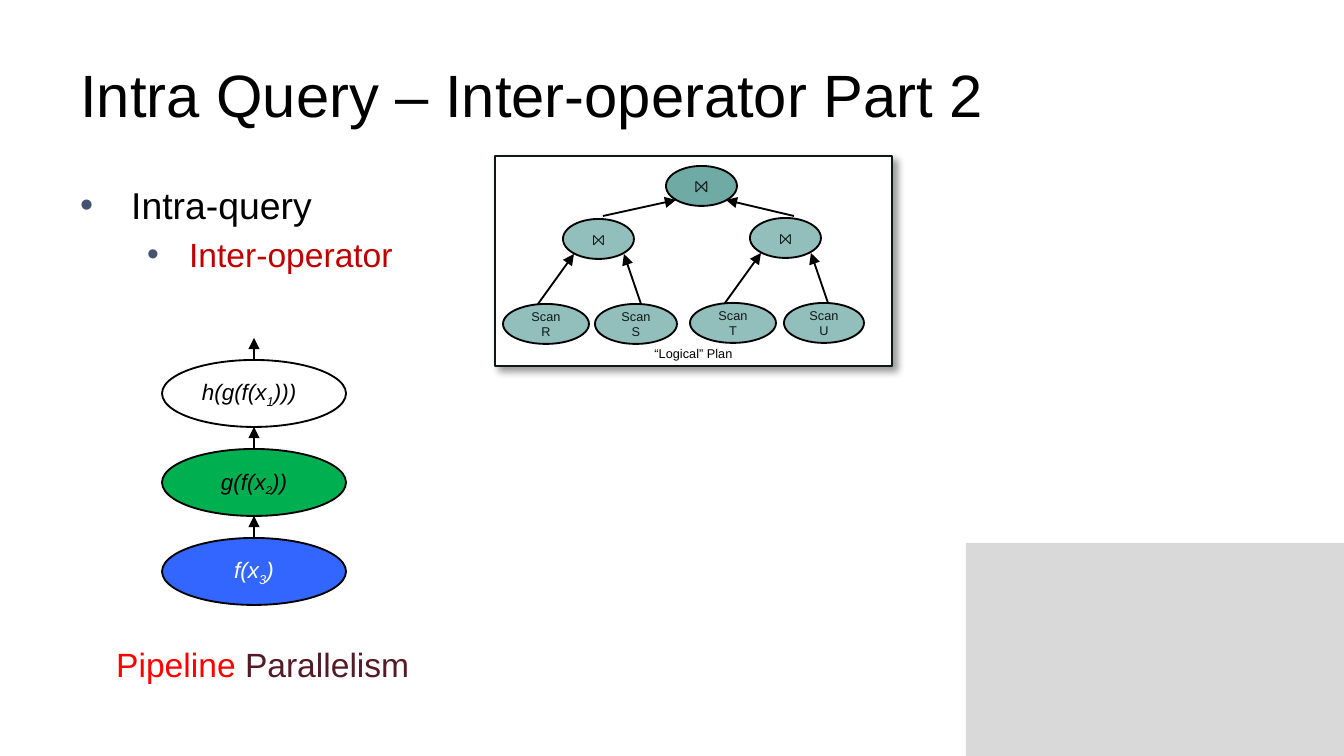
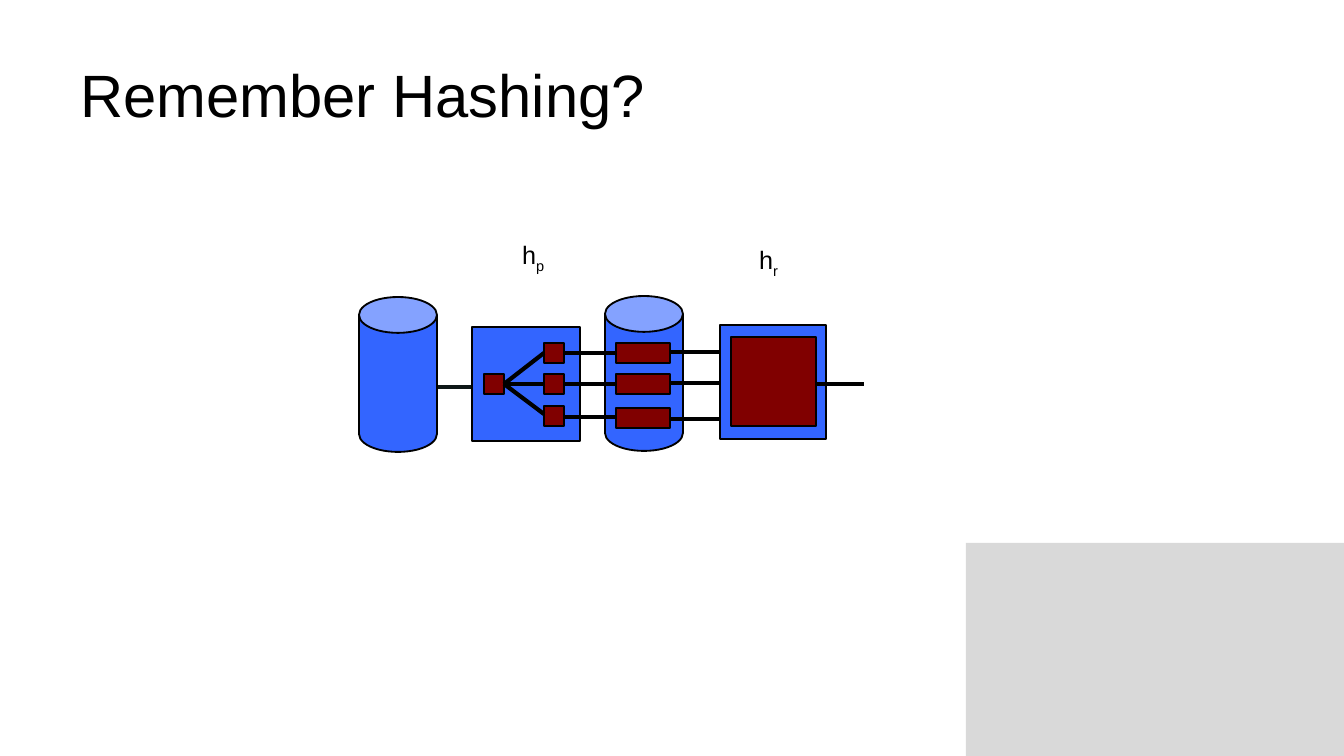
import pptx
import pptx.dml.color
import pptx.enum.shapes
import pptx.enum.text
import pptx.oxml.ns
import pptx.util
from lxml import etree

SHAPE = pptx.enum.shapes.MSO_SHAPE
ALIGN = pptx.enum.text.PP_ALIGN
ANCHOR = pptx.enum.text.MSO_ANCHOR
FONT = "Arial"
BLACK, WHITE, INK = "000000", "FFFFFF", "0E1817"
GREY, BLUE, MAROON = "D9D9D9", "3365FF", "800000"
TEAL, DARK_TEAL = "92BFBB", "6FAAA5"

TITLES = ["Intra Query – Inter-operator Part 2", "Remember Hashing?"]
TITLE_AREA = (67, 31, 1210, 126)
CORNER_AREA = (966, 543, 378, 213)

BULLETS = [
    ("Intra-query", 20, BLACK, 51, 51),
    ("Inter-operator", 18, "C00000", 109, 42),
]
PIPELINE_LABEL = [("Pipeline", {"color": "FF0000"}), (" Parallelism", {"color": "541B27"})]
PIPELINE = [
    (WHITE, BLACK, ALIGN.LEFT, "h(g(f(x", "1", ")))", 12),
    ("00B050", BLACK, ALIGN.CENTER, "g(f(x", "2", "))", 10.5),
    ("3366FF", WHITE, ALIGN.CENTER, "f(x", "3", ")", 12),
]
JOIN = "⨝"
JOIN_SIZE = (71, 40)
SUBTREES = [
    (563, 219, [("Scan R", -60, 86), ("Scan S", 32, 82)]),
    (750, 218, [("Scan T", -60, 86), ("Scan U", 34, 80)]),
]
SCAN_ARROWS = [(-25, 85, 11, 35), (78, 85, 61, 35)]
ROOT_ARROWS = [(603, 216, 676, 200), (794, 216, 726, 200)]

HASH_LABELS = [("p", (509, 233, 51, 44)), ("r", (746, 238, 47, 44))]
CYLINDERS = [(359, 297), (605, 296)]
PARTITION_ROWS = [
    {"square": 343, "bucket": 343, "fan": 353, "write": 353, "read": 352},
    {"square": 374, "bucket": 374, "fan": 384, "write": 384, "read": 383},
    {"square": 406, "bucket": 408, "fan": 414, "write": 417, "read": 419},
]


def px(length):
    return pptx.util.Emu(round(length * 914400 / 134.4))


def rgb(color):
    return pptx.dml.color.RGBColor.from_string(color)


def add_xml(parent, tag, **attributes):
    element = etree.SubElement(parent, pptx.oxml.ns.qn(tag))
    for name, value in attributes.items():
        element.set(name, str(value))
    return element


def set_font(font, size=None, color=None, italic=None):
    font.name = FONT
    if size:
        font.size = pptx.util.Pt(size)
    if color:
        font.color.rgb = rgb(color)
    if italic:
        font.italic = True


def write(para, spans, align=ALIGN.LEFT, **style):
    para.alignment = align
    set_font(para.font, **style)
    for text, options in spans:
        span = para.add_run()
        span.text = text
        if "color" in options:
            span.font.color.rgb = rgb(options["color"])
        if "size" in options:
            span.font.size = pptx.util.Pt(options["size"])
        if options.get("subscript"):
            span.font._element.set("baseline", "-25000")


def add_box(page, kind, area, fill, line=BLACK):
    box = page.shapes.add_shape(kind, *map(px, area))
    box.shadow.inherit = False
    box.fill.solid()
    box.fill.fore_color.rgb = rgb(fill)
    if line:
        box.line.color.rgb = rgb(line)
        box.line.width = pptx.util.Pt(1)
    else:
        box.line.fill.background()
    return box


def add_ellipse(page, area, fill, spans, align=ALIGN.CENTER, inset=12, **style):
    box = add_box(page, SHAPE.OVAL, area, fill)
    frame = box.text_frame
    frame.word_wrap = True
    frame.vertical_anchor = ANCHOR.MIDDLE
    frame.margin_left = frame.margin_right = px(inset)
    write(frame.paragraphs[0], spans, align, **style)


def add_label(page, area, spans, **style):
    frame = page.shapes.add_textbox(*map(px, area)).text_frame
    frame.word_wrap = False
    frame.auto_size = pptx.enum.text.MSO_AUTO_SIZE.SHAPE_TO_FIT_TEXT
    write(frame.paragraphs[0], spans, **style)


def add_line(page, ends, width=2.25, color=BLACK, arrow=False):
    line = page.shapes.add_connector(pptx.enum.shapes.MSO_CONNECTOR.STRAIGHT, *map(px, ends))
    line.line.color.rgb = rgb(color)
    line.line.width = pptx.util.Pt(width)
    if arrow:
        add_xml(line.line._get_or_add_ln(), "a:tailEnd", type="triangle")
    add_xml(line._element.spPr, "a:effectLst")


def add_page(deck, title):
    page = deck.slides.add_slide(deck.slide_layouts[5])
    add_box(page, SHAPE.RECTANGLE, CORNER_AREA, GREY, None)
    box = page.shapes.title
    box.left, box.top, box.width, box.height = map(px, TITLE_AREA)
    box.text_frame.vertical_anchor = ANCHOR.MIDDLE
    write(box.text_frame.paragraphs[0], [(title, {})], size=32, color=BLACK)
    return page


def add_bullets(page):
    frame = page.shapes.add_textbox(*map(px, (67, 176, 1210, 499))).text_frame
    frame.word_wrap = True
    for level, (text, size, color, margin, hang) in enumerate(BULLETS):
        para = frame.add_paragraph() if level else frame.paragraphs[0]
        para.level = level
        para.space_before = pptx.util.Pt(size * 0.2)
        properties = para._p.get_or_add_pPr()
        properties.set("marL", str(px(margin)))
        properties.set("indent", str(-px(hang)))
        add_xml(add_xml(properties, "a:buClr"), "a:srgbClr", val="44516F")
        add_xml(properties, "a:buFont", typeface=FONT)
        add_xml(properties, "a:buChar", char="•")
        write(para, [(text, {})], size=size, color=color)


def add_pipeline(page):
    left, top, width, height, pitch = 162, 360, 184, 67, 89
    for index, (fill, color, align, head, subscript, tail, small) in enumerate(PIPELINE):
        y = top + index * pitch
        center = left + width / 2
        add_line(page, (center, y, center, y - 22), 1, arrow=True)
        spans = [(head, {}), (subscript, {"subscript": True, "size": small}), (tail, {})]
        add_ellipse(page, (left, y, width, height), fill, spans, align, 13,
                    size=12, color=color, italic=True)
    add_label(page, (103, 637, 320, 54), PIPELINE_LABEL, size=18)


def add_plan(page):
    panel = add_box(page, SHAPE.RECTANGLE, (495, 156, 397, 210), WHITE, INK)
    effects = panel._element.spPr.find(pptx.oxml.ns.qn("a:effectLst"))
    shadow = add_xml(effects, "a:outerShdw", blurRad=pptx.util.Pt(4), dist=pptx.util.Pt(3),
                     dir=45 * 60000, algn="tl", rotWithShape=0)
    add_xml(add_xml(shadow, "a:srgbClr", val=BLACK), "a:alpha", val=40000)
    frame = panel.text_frame
    frame.word_wrap = True
    frame.vertical_anchor = ANCHOR.BOTTOM
    frame.margin_left = frame.margin_right = px(9)
    frame.margin_top = frame.margin_bottom = px(5)
    write(frame.paragraphs[0], [("“Logical” Plan", {})], ALIGN.CENTER, size=6.8, color=BLACK)

    for x, y, scans in SUBTREES:
        add_ellipse(page, (x, y, *JOIN_SIZE), TEAL, [(JOIN, {})], size=8.2, color=INK)
        for name, shift, width in scans:
            add_ellipse(page, (x + shift, y + 85, width, 40), TEAL, [(name, {})],
                        size=6.8, color=INK)
        for x1, y1, x2, y2 in SCAN_ARROWS:
            add_line(page, (x + x1, y + y1, x + x2, y + y2), 1, arrow=True)
    add_ellipse(page, (666, 166, *JOIN_SIZE), DARK_TEAL, [(JOIN, {})], size=9, color=INK)
    for ends in ROOT_ARROWS:
        add_line(page, ends, 1, arrow=True)


def add_hashing(page):
    add_line(page, (437, 387, 478, 387), color=INK)
    for x, y in CYLINDERS:
        cylinder = add_box(page, SHAPE.CAN, (x, y, 78, 155), BLUE)
        cylinder.adjustments[0] = 0.46
    add_box(page, SHAPE.RECTANGLE, (472, 327, 108, 114), BLUE)
    add_box(page, SHAPE.RECTANGLE, (484, 374, 20, 20), MAROON)
    for row in PARTITION_ROWS:
        add_box(page, SHAPE.RECTANGLE, (544, row["square"], 20, 20), MAROON)
        add_box(page, SHAPE.RECTANGLE, (616, row["bucket"], 54, 20), MAROON)
        add_line(page, (544, row["fan"], 504, 384))
        add_line(page, (564, row["write"], 616, row["write"]))
        add_line(page, (720, row["read"], 671, row["read"]))
    add_box(page, SHAPE.RECTANGLE, (720, 325, 106, 114), BLUE)
    add_box(page, SHAPE.RECTANGLE, (731, 337, 85, 89), MAROON)
    add_line(page, (864, 384, 817, 384))
    for subscript, area in HASH_LABELS:
        add_label(page, area, [("h", {}), (subscript, {"subscript": True})],
                  size=13.5, color=BLACK)


def main():
    deck = pptx.Presentation()
    deck.slide_width, deck.slide_height = px(1344), px(756)
    operators, hashing = [add_page(deck, title) for title in TITLES]
    add_bullets(operators)
    add_pipeline(operators)
    add_plan(operators)
    add_hashing(hashing)
    deck.save("out.pptx")


if __name__ == "__main__":
    main()
